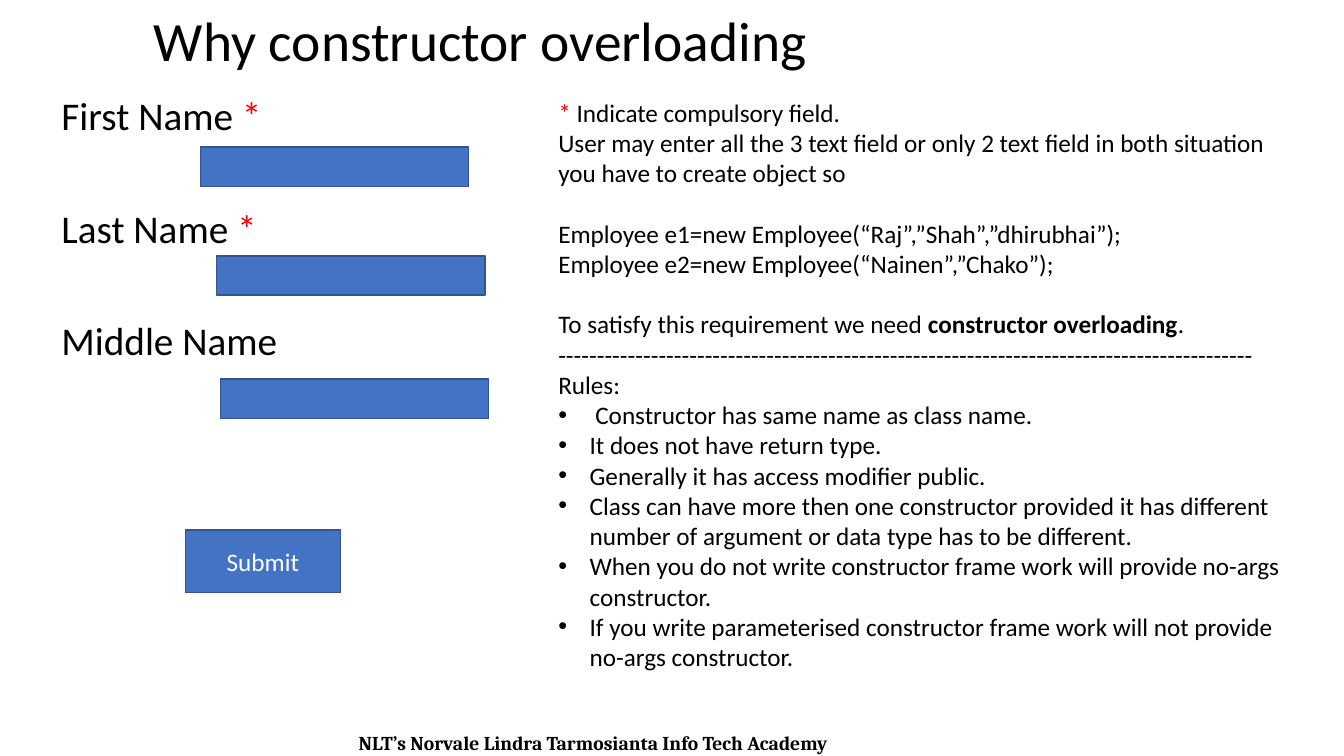
from lxml.etree import SubElement
from pptx import Presentation
from pptx.dml.color import RGBColor
from pptx.enum.shapes import MSO_SHAPE
from pptx.enum.text import MSO_ANCHOR, PP_ALIGN
from pptx.oxml.ns import qn
from pptx.util import Cm, Pt

BLACK = RGBColor(0x00, 0x00, 0x00)
RED = RGBColor(0xFF, 0x00, 0x00)
WHITE = RGBColor(0xFF, 0xFF, 0xFF)
FIELD_BLUE = RGBColor(0x44, 0x72, 0xC4)
BORDER_BLUE = RGBColor(0x32, 0x54, 0x91)

TITLE = "Why constructor overloading"
FOOTER = "NLT’s Norvale Lindra Tarmosianta Info Tech Academy"
SUBMIT = "Submit"
LABELS = [
    [("First Name ", BLACK, False), ("*", RED, False)],
    [("Last Name", BLACK, False), (" *", RED, False)],
    [("Middle Name", BLACK, False)],
]
FIELDS = [(5.05, 3.71), (5.46, 6.45), (5.56, 9.55)]
EXPLANATION = [
    [
        [("* ", RED, False), ("Indicate compulsory field.", BLACK, False)],
        [("User may enter all the 3 text field or only 2 text field in both "
          "situation you have to create object so", BLACK, False)],
    ],
    [
        [("Employee e1=new Employee(“Raj”,”Shah”,”dhirubhai”);", BLACK, False)],
        [("Employee e2=new Employee(“Nainen”,”Chako”);", BLACK, False)],
    ],
    [
        [("To satisfy this requirement we need ", BLACK, False),
         ("constructor overloading", BLACK, True), (".", BLACK, False)],
        [("-" * 90, BLACK, False)],
        [("Rules:", BLACK, False)],
    ],
]
RULES = [
    " Constructor has same name as class name.",
    "It does not have return type.",
    "Generally it has access modifier public.",
    "Class can have more then one constructor provided it has different "
    "number of argument or data type has to be different.",
    "When you do not write constructor frame work will provide no-args constructor.",
    "If you write parameterised constructor frame work will not provide "
    "no-args constructor.",
]

LABEL_GAP = Pt(50)
GROUP_GAP = Pt(21.6)
RULE_INDENT = Cm(0.79)


def add_text(left, top, width, height):
    frame = slide.shapes.add_textbox(Cm(left), Cm(top), Cm(width), Cm(height)).text_frame
    frame.word_wrap = True
    return frame


def next_paragraph(frame):
    first = frame.paragraphs[0]
    return frame.add_paragraph() if first.runs else first


def write(paragraph, runs, size, face="Calibri"):
    paragraph.font.name = face
    paragraph.font.size = Pt(size)
    agreed = len({(color, bold) for _, color, bold in runs}) == 1
    for text, color, bold in runs:
        run = paragraph.add_run()
        run.text = text
        font = paragraph.font if agreed else run.font
        font.color.rgb = color
        font.bold = bold


def add_bullet(paragraph):
    properties = paragraph._p.get_or_add_pPr()
    properties.set("marL", str(RULE_INDENT))
    properties.set("indent", str(-RULE_INDENT))
    SubElement(properties, qn("a:buFont"), typeface="Arial")
    SubElement(properties, qn("a:buChar"), char="•")


def add_box(left, top, width, height):
    box = slide.shapes.add_shape(
        MSO_SHAPE.RECTANGLE, Cm(left), Cm(top), Cm(width), Cm(height))
    box.shadow.inherit = False
    box.fill.solid()
    box.fill.fore_color.rgb = FIELD_BLUE
    box.line.color.rgb = BORDER_BLUE
    box.line.width = Pt(1)
    return box


prs = Presentation()
prs.slide_width = Cm(33.87)
prs.slide_height = Cm(19.05)
slide = prs.slides.add_slide(prs.slide_layouts[6])

footer = add_text(3.13, 18.29, 23.65, 0.86).paragraphs[0]
footer.alignment = PP_ALIGN.CENTER
write(footer, [(FOOTER, BLACK, True)], 14, "Cambria")

title = add_text(3.63, 0.3, 27.91, 1.6)
title.vertical_anchor = MSO_ANCHOR.MIDDLE
title.paragraphs[0].line_spacing = 0.9
write(title.paragraphs[0], [(TITLE, BLACK, False)], 39.6)

labels = add_text(1.3, 2.32, 11.71, 15.49)
for index, runs in enumerate(LABELS):
    label = next_paragraph(labels)
    label.line_spacing = 0.9
    if index:
        label.space_before = LABEL_GAP
    write(label, runs, 28)

for left, top in FIELDS:
    add_box(left, top, 6.76, 0.99)

submit = add_box(4.67, 13.36, 3.91, 1.57).text_frame
submit.vertical_anchor = MSO_ANCHOR.MIDDLE
submit.paragraphs[0].alignment = PP_ALIGN.CENTER
write(submit.paragraphs[0], [(SUBMIT, WHITE, False)], 18)

explanation = add_text(13.82, 2.32, 18.95, 17.96)
for group_index, group in enumerate(EXPLANATION):
    for line_index, runs in enumerate(group):
        line = next_paragraph(explanation)
        if group_index and not line_index:
            line.space_before = GROUP_GAP
        write(line, runs, 18)
for rule in RULES:
    line = next_paragraph(explanation)
    add_bullet(line)
    write(line, [(rule, BLACK, False)], 18)

prs.save("out.pptx")
